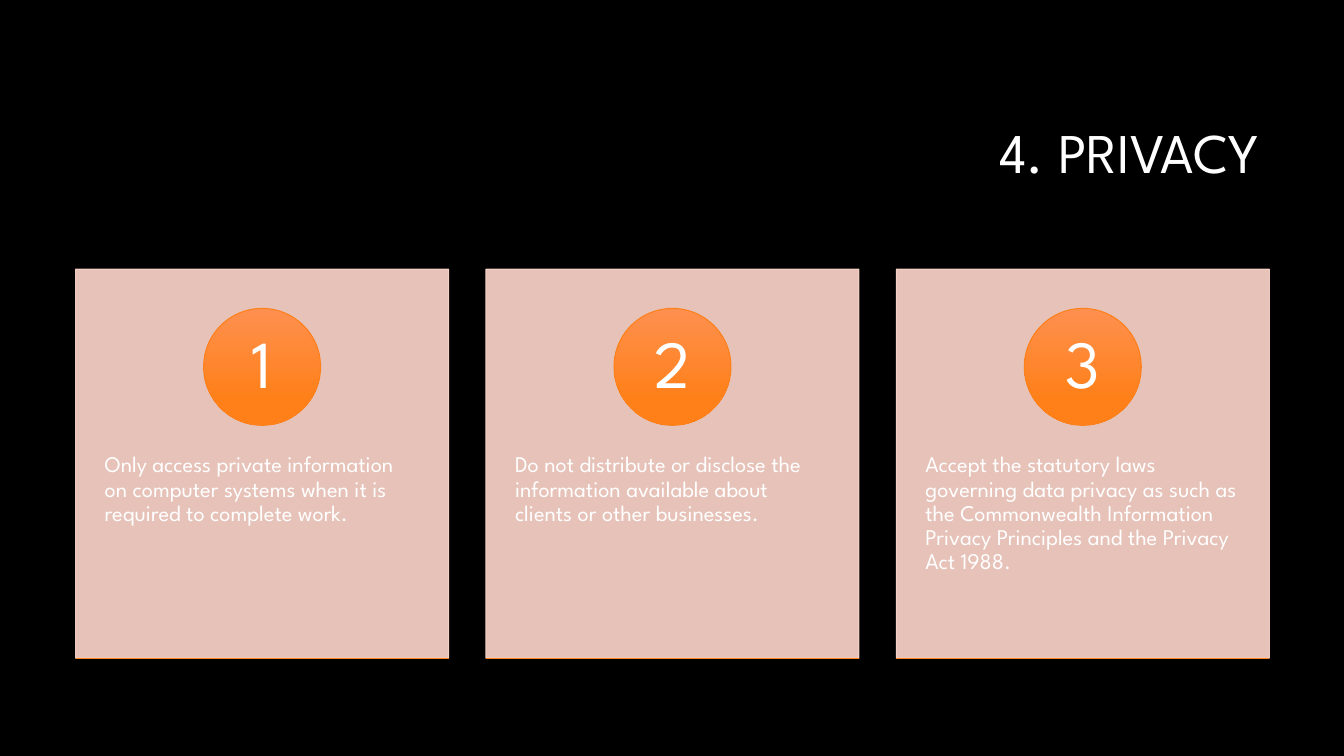
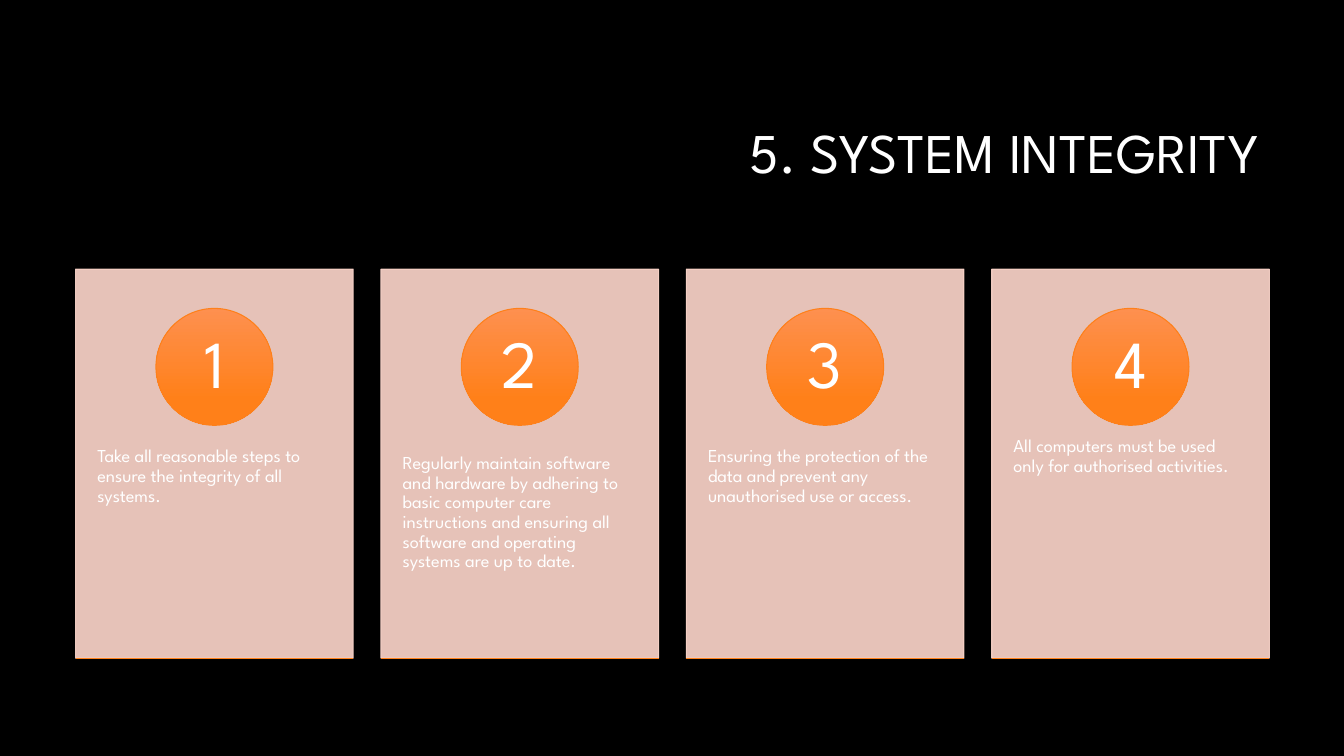
from lxml.etree import SubElement
from pptx import Presentation
from pptx.dml.color import RGBColor
from pptx.enum.shapes import MSO_CONNECTOR, MSO_SHAPE
from pptx.enum.text import MSO_ANCHOR, PP_ALIGN
from pptx.oxml.ns import qn
from pptx.util import Emu, Pt

EMU_PER_PX = 9144  # 100 px to the inch
SLIDE_SIZE = (1333, 750)
TITLE_ONLY = 5
FONT = "League Spartan"
COLORS = {
    "background": "000000",
    "text": "FFFFFF",
    "card": "FFD8CD",
    "badge_top": "FE904F",
    "badge_bottom": "FF8019",
    "accent": "FE801A",
}

CARDS_LEFT, CARDS_WIDTH = 75, 1184
CARD_TOP, CARD_HEIGHT = 267, 386
CARD_OPACITY = 90
GAP_RATIO = 0.1  # gap between cards, as a share of card width
PADDING_RATIO = 0.078
BADGE_TOP, BADGE_SIZE = 306, 116
BODY_TOP, BODY_HEIGHT = 414, 232

SLIDES = [
    ("4. PRIVACY", 16, [
        "Only access private information on computer systems when it is required to complete work.",
        "Do not distribute or disclose the information available about clients or other businesses.",
        "Accept the statutory laws governing data privacy as such as the Commonwealth "
        "Information Privacy Principles and the Privacy Act 1988.",
    ]),
    ("5. SYSTEM INTEGRITY", 13, [
        "Take all reasonable steps to ensure the integrity of all systems.",
        "Regularly maintain software and hardware by adhering to basic computer care "
        "instructions and ensuring all software and operating systems are up to date.",
        "Ensuring the protection of the data and prevent any unauthorised use or access.",
        "All computers must be used only for authorised activities.",
    ]),
]


def px(*lengths):
    return [Emu(round(length * EMU_PER_PX)) for length in lengths]


def color(name):
    return RGBColor.from_string(COLORS[name])


def set_opacity(shape, percent):
    """Apply one opacity to both the fill and the outline."""
    for solid in shape._element.spPr.iter(qn("a:solidFill")):
        SubElement(solid[0], qn("a:alpha"), val=str(percent * 1000))


class CardDeck:
    def __init__(self):
        self.deck = Presentation()
        self.deck.slide_width, self.deck.slide_height = px(*SLIDE_SIZE)
        self.page = None

    def add_page(self, title):
        self.page = self.deck.slides.add_slide(self.deck.slide_layouts[TITLE_ONLY])
        background = self.page.background.fill
        background.solid()
        background.fore_color.rgb = color("background")
        box = self.page.shapes.title
        box.left, box.top, box.width, box.height = px(317, 84, 942, 141)
        self.set_text(box, title, 40, PP_ALIGN.RIGHT, MSO_ANCHOR.MIDDLE)

    def set_text(self, box, text, size, align=PP_ALIGN.LEFT, anchor=MSO_ANCHOR.TOP,
                 insets=(10, 5)):
        """Fill a box with one paragraph; insets are (horizontal, vertical)."""
        frame = box.text_frame
        frame.text = text
        frame.word_wrap = True
        frame.vertical_anchor = anchor
        horizontal, vertical = px(*insets)
        frame.margin_left = frame.margin_right = horizontal
        frame.margin_top = frame.margin_bottom = vertical
        paragraph = frame.paragraphs[0]
        paragraph.alignment = align
        paragraph.line_spacing = 0.9
        for span in paragraph.runs:
            span.font.name = FONT
            span.font.size = Pt(size)
            span.font.color.rgb = color("text")

    def add_shape(self, kind, left, top, width, height, outline):
        shape = self.page.shapes.add_shape(kind, *px(left, top, width, height))
        shape.shadow.inherit = False
        shape.line.color.rgb = color(outline)
        shape.line.width = Pt(0.75)
        return shape

    def add_panel(self, left, width):
        panel = self.add_shape(MSO_SHAPE.RECTANGLE, left, CARD_TOP, width, CARD_HEIGHT, "card")
        panel.fill.solid()
        panel.fill.fore_color.rgb = color("card")
        set_opacity(panel, CARD_OPACITY)

    def add_body(self, left, width, text, size):
        box = self.page.shapes.add_textbox(*px(left, BODY_TOP, width, BODY_HEIGHT))
        self.set_text(box, text, size, insets=(width * PADDING_RATIO, 36))

    def add_badge(self, center, number):
        badge = self.add_shape(MSO_SHAPE.OVAL, center - BADGE_SIZE / 2, BADGE_TOP,
                               BADGE_SIZE, BADGE_SIZE, "accent")
        badge.fill.gradient()
        badge.fill.gradient_angle = 270
        stops = zip(badge.fill.gradient_stops, ("badge_top", "badge_bottom"), (0, 0.78))
        for stop, name, position in stops:
            stop.color.rgb = color(name)
            stop.position = position
        self.set_text(badge, str(number), 48, PP_ALIGN.CENTER, MSO_ANCHOR.MIDDLE, (9, 1))

    def add_rule(self, left, width):
        bottom = CARD_TOP + CARD_HEIGHT
        rule = self.page.shapes.add_connector(
            MSO_CONNECTOR.STRAIGHT, *px(left, bottom, left + width, bottom))
        rule.line.color.rgb = color("accent")
        rule.line.width = Pt(0.75)
        SubElement(rule._element.spPr, qn("a:effectLst"))

    def add_cards(self, texts, size):
        """Spread equal numbered cards over the full content width."""
        count = len(texts)
        width = CARDS_WIDTH / (count + GAP_RATIO * (count - 1))
        for index, text in enumerate(texts):
            left = CARDS_LEFT + index * width * (1 + GAP_RATIO)
            self.add_panel(left, width)
            self.add_body(left, width, text, size)
            self.add_badge(left + width / 2, index + 1)
            self.add_rule(left, width)


def main():
    cards = CardDeck()
    for title, size, texts in SLIDES:
        cards.add_page(title)
        cards.add_cards(texts, size)
    cards.deck.save("out.pptx")


if __name__ == "__main__":
    main()
